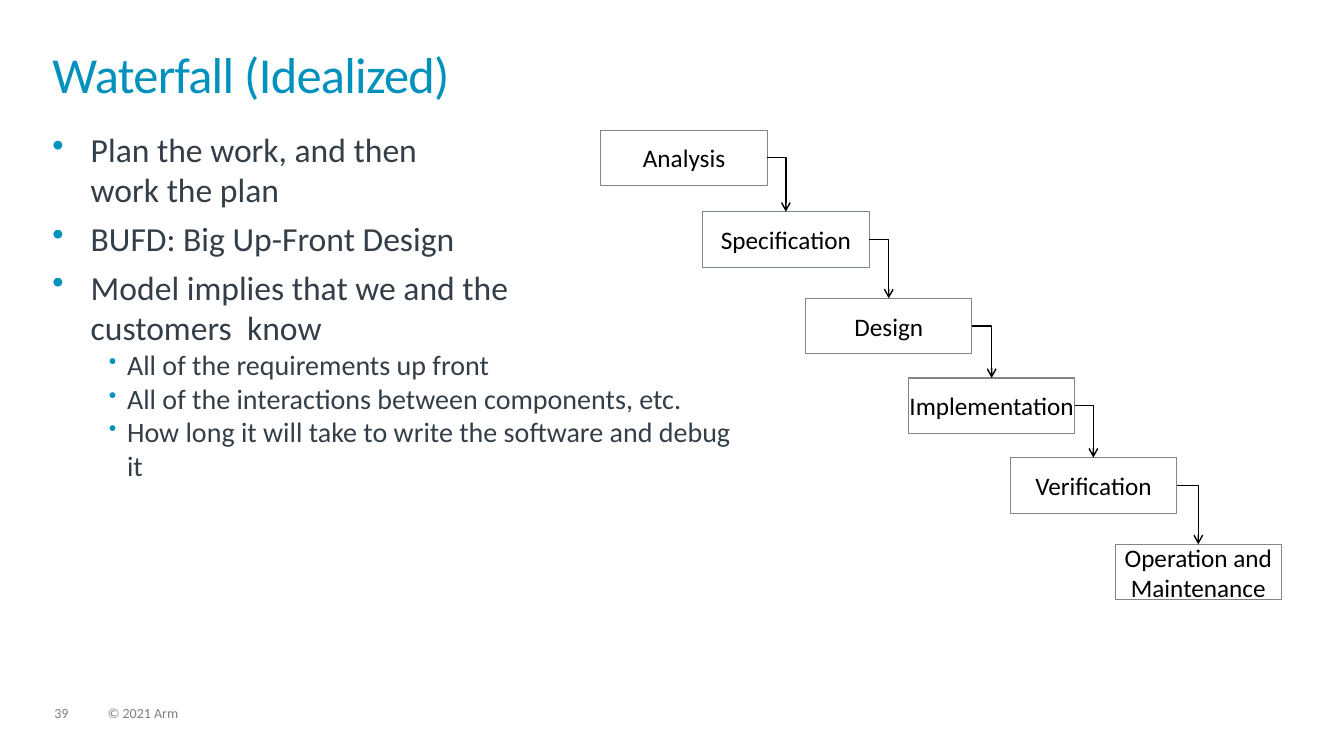
from dataclasses import dataclass
from typing import Any

import pptx
import pptx.dml.color
import pptx.enum.shapes
import pptx.enum.text
import pptx.oxml.ns
import pptx.util
from lxml import etree

PX = 9144  # 100 px to the inch
FONT = "Calibri"
COLOURS = {
    "accent": "0091BD",
    "body": "333E48",
    "footer": "7F7F7F",
    "border": "7D868C",
    "black": "000000",
}
FRAME = {
    "margin_left": 0,
    "margin_top": 0,
    "margin_right": 0,
    "margin_bottom": 0,
    "word_wrap": True,
}
STAGE_SIZE = (165, 55)
RIGHT_SITE, TOP_SITE = 3, 0


@dataclass(frozen=True)
class Style:
    size: int
    colour: str
    line_spacing: float = 1.0
    tracking: int = 0


@dataclass(frozen=True)
class Label:
    text: str
    left: int
    top: int
    width: int
    height: int
    style: Style


@dataclass(frozen=True)
class Level:
    style: Style
    margin: int
    hanging: int
    bullet_percent: int
    space_before: int


@dataclass(frozen=True)
class Bullet:
    text: str
    level: Level


@dataclass(frozen=True)
class Stage:
    name: str
    left: int
    top: int


TITLE = Style(36, "accent", 0.85, -50)
FOOTER = Style(10, "footer", 0.9)
STAGE = Style(18, "black")
POINT = Level(Style(24, "body"), 38, 38, 100, 6)
DETAIL = Level(Style(20, "body"), 74, 18, 80, 0)

LABELS = [
    Label("39", 54, 701, 34, 15, FOOTER),
    Label("© 2021 Arm", 107, 701, 507, 15, FOOTER),
    Label("Waterfall (Idealized)", 52, 52, 1228, 72, TITLE),
]
BULLETS = [
    Bullet("Plan the work, and then\nwork the plan", POINT),
    Bullet("BUFD: Big Up-Front Design", POINT),
    Bullet("Model implies that we and the\ncustomers  know", POINT),
    Bullet("All of the requirements up front", DETAIL),
    Bullet("All of the interactions between components, etc.", DETAIL),
    Bullet("How long it will take to write the software and debug it", DETAIL),
]
STAGES = [
    Stage("Analysis", 596, 129),
    Stage("Specification", 697, 210),
    Stage("Design", 799, 296),
    Stage("Implementation", 901, 375),
    Stage("Verification", 1002, 454),
    Stage("Operation and Maintenance", 1106, 540),
]


def rgb(name: str) -> pptx.dml.color.RGBColor:
    return pptx.dml.color.RGBColor.from_string(COLOURS[name])


def px(*lengths: int) -> list[int]:
    return [length * PX for length in lengths]


def set_all(target: Any, values: dict[str, Any]) -> None:
    for name, value in values.items():
        setattr(target, name, value)


def add_element(parent: Any, tag: str, **attributes: str) -> Any:
    return etree.SubElement(parent, pptx.oxml.ns.qn(tag), attributes)


def write(para: Any, text: str, style: Style) -> None:
    para.text = text
    para.line_spacing = style.line_spacing
    for span in para.runs:
        set_all(span.font, {"name": FONT, "size": pptx.util.Pt(style.size)})
        span.font.color.rgb = rgb(style.colour)
        if style.tracking:
            span.font._element.set("spc", str(style.tracking))


def add_box(page: Any, left: int, top: int, width: int, height: int) -> Any:
    box = page.shapes.add_textbox(*px(left, top, width, height))
    set_all(box.text_frame, FRAME)
    return box


def add_label(page: Any, label: Label) -> None:
    box = add_box(page, label.left, label.top, label.width, label.height)
    write(box.text_frame.paragraphs[0], label.text, label.style)


def format_bullet(para: Any, level: Level) -> None:
    """Set the hanging indent and the coloured bullet mark."""
    properties = para._p.get_or_add_pPr()
    properties.set("marL", str(level.margin * PX))
    properties.set("indent", str(-level.hanging * PX))
    colour = add_element(properties, "a:buClr")
    add_element(colour, "a:srgbClr", val=COLOURS["accent"])
    add_element(properties, "a:buSzPct", val=str(level.bullet_percent * 1000))
    add_element(properties, "a:buChar", char="•")


def add_bullets(page: Any, bullets: list[Bullet]) -> None:
    frame = add_box(page, 52, 128, 685, 541).text_frame
    for index, bullet in enumerate(bullets):
        para = frame.add_paragraph() if index else frame.paragraphs[0]
        format_bullet(para, bullet.level)
        write(para, bullet.text, bullet.level.style)
        para.space_before = pptx.util.Pt(bullet.level.space_before if index else 0)
        para.level = 1 if bullet.level is DETAIL else 0


def add_stage(page: Any, stage: Stage) -> Any:
    box = page.shapes.add_shape(
        pptx.enum.shapes.MSO_SHAPE.RECTANGLE, *px(stage.left, stage.top, *STAGE_SIZE)
    )
    box.shadow.inherit = False
    box.fill.background()
    box.line.color.rgb = rgb("border")
    box.line.width = pptx.util.Pt(0.75)
    set_all(box.text_frame, FRAME)
    box.text_frame.vertical_anchor = pptx.enum.text.MSO_ANCHOR.MIDDLE
    para = box.text_frame.paragraphs[0]
    write(para, stage.name, STAGE)
    para.alignment = pptx.enum.text.PP_ALIGN.CENTER
    return box


def add_step_arrow(page: Any, source: Any, target: Any) -> None:
    """Join the right side of one stage to the top of the next with one bend."""
    arrow = page.shapes.add_connector(pptx.enum.shapes.MSO_CONNECTOR.ELBOW, 0, 0, 0, 0)
    arrow.begin_connect(source, RIGHT_SITE)
    arrow.end_connect(target, TOP_SITE)
    arrow.line.color.rgb = rgb("black")
    arrow.line.width = pptx.util.Pt(1)
    properties = arrow._element.spPr
    properties.find(pptx.oxml.ns.qn("a:prstGeom")).set("prst", "bentConnector2")
    add_element(properties.find(pptx.oxml.ns.qn("a:ln")), "a:tailEnd", type="arrow")
    add_element(properties, "a:effectLst")


def main() -> None:
    deck = pptx.Presentation()
    set_all(deck, dict(zip(("slide_width", "slide_height"), px(1333, 750))))
    page = deck.slides.add_slide(deck.slide_layouts[6])
    for label in LABELS:
        add_label(page, label)
    add_bullets(page, BULLETS)
    boxes = [add_stage(page, stage) for stage in STAGES]
    for source, target in zip(boxes, boxes[1:]):
        add_step_arrow(page, source, target)
    deck.save("out.pptx")


if __name__ == "__main__":
    main()
